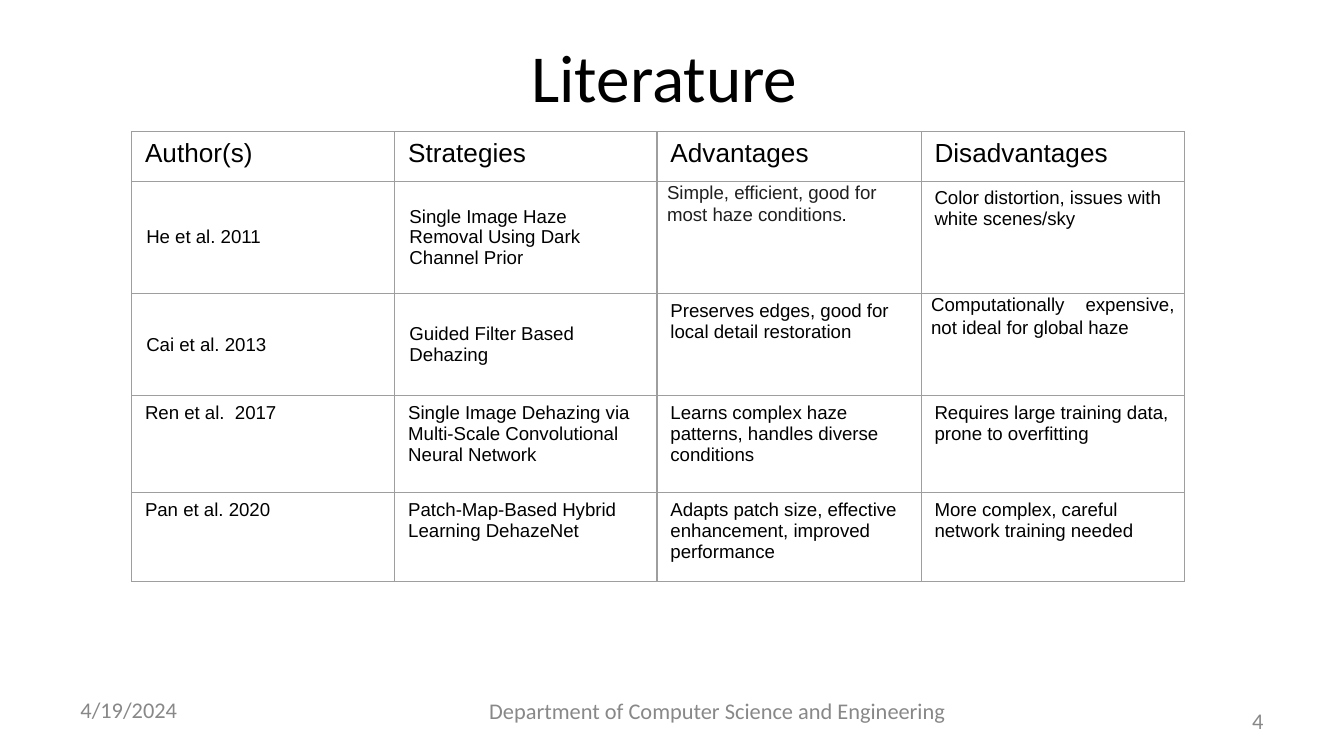
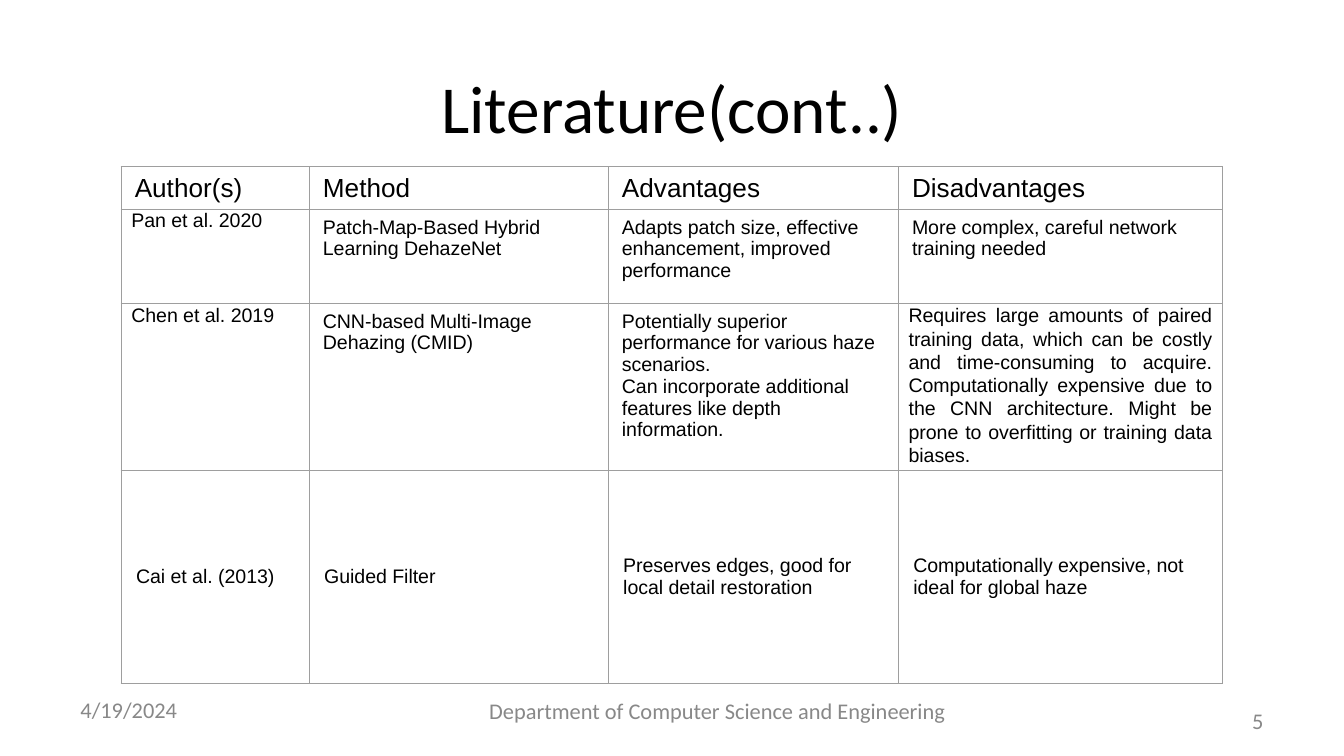
from pptx import Presentation
from pptx.dml.color import RGBColor
from pptx.enum.text import MSO_ANCHOR, MSO_AUTO_SIZE, PP_ALIGN
from pptx.oxml import parse_xml
from pptx.oxml.ns import nsdecls
from pptx.util import Pt

BLACK = RGBColor(0x00, 0x00, 0x00)
DARK = RGBColor(0x1F, 0x1F, 0x1F)
GREY = RGBColor(0x88, 0x88, 0x88)
RULE = RGBColor(0x9E, 0x9E, 0x9E)

# Cell formats: insets and anchor for the cell, spacing for its paragraphs
SIDES = ("margin_left", "margin_top", "margin_right", "margin_bottom")
PLAIN = dict(zip(SIDES, map(Pt, (7.2, 3.6, 7.2, 3.6))))
SNUG = dict(zip(SIDES, map(Pt, (5.4, 0, 5.4, 0))))
MID = dict.fromkeys(SIDES, Pt(7.9)) | {"vertical_anchor": MSO_ANCHOR.MIDDLE}
LOOSE = {"line_spacing": 1.07, "space_after": Pt(8)}
JUST = LOOSE | {"alignment": PP_ALIGN.JUSTIFY}
KINDS = {
    "plain": (PLAIN, {}),
    "mid": (MID, {}),
    "snug": (SNUG, {}),
    "loose": (SNUG, LOOSE),
    "just": (SNUG, JUST),
}

# Footer boxes: left, top, width, alignment
FOOT = {
    "date": (36, 369.4, 168, PP_ALIGN.LEFT),
    "dept": (246.2, 370, 276.5, PP_ALIGN.CENTER),
    "page": (516, 375.1, 168, PP_ALIGN.RIGHT),
}

PAN = [
    "Patch-Map-Based Hybrid Learning DehazeNet",
    "Adapts patch size, effective enhancement, improved performance",
    "More complex, careful network training needed",
]
EDGES = "Preserves edges, good for local detail restoration"
COSTLY = "Computationally expensive, not ideal for global haze"

# A cell is its text, or its text and the name of its format
SLIDES = [
    {
        "title": "Literature ", "top": 15.8, "page": "4", "size": 10,
        "at": (70.5, 70.5),
        "cols": (141, 140.5, 141.5, 141),
        "rows": (26.7, 60.2, 54.7, 52, 47.6),
        "cells": [
            ["Author(s)", "Strategies", "Advantages", "Disadvantages"],
            [("He et al. 2011", "mid"),
             ("Single Image Haze Removal Using Dark Channel Prior", "mid"),
             ("Simple, efficient, good for most haze conditions", "loose"),
             "Color distortion, issues with white scenes/sky"],
            [("Cai et al. 2013", "mid"),
             ("Guided Filter Based Dehazing", "mid"),
             EDGES, (COSTLY, "just")],
            ["Ren et al.  2017",
             "Single Image Dehazing via Multi-Scale Convolutional "
             "Neural Network",
             "Learns complex haze patterns, handles diverse conditions",
             "Requires large training data, prone to overfitting"],
            ["Pan et al. 2020", *PAN],
        ],
    },
    {
        "title": "Literature(cont..)", "top": 32.4, "page": "5", "size": 10.5,
        "at": (65, 89.4),
        "cols": (100.8, 160.2, 155.4, 173.6),
        "rows": (22.6, 50.4, 89.2, 114.4),
        "cells": [
            ["Author(s)", "Method", "Advantages", "Disadvantages"],
            [("Pan et al. 2020", "snug"), *PAN],
            [("Chen et al. 2019", "just"),
             "CNN-based Multi-Image Dehazing (CMID)",
             "Potentially superior performance for various haze scenarios.\n"
             "Can incorporate additional features like depth information.",
             ("Requires large amounts of paired training data, which can be "
              "costly and time-consuming to acquire. Computationally "
              "expensive due to the CNN architecture. Might be prone to "
              "overfitting or training data biases.", "just")],
            [(text, "mid")
             for text in ("Cai et al. (2013)", "Guided Filter", EDGES, COSTLY)],
        ],
    },
]


def style(run, name, size, ink):
    run.font.name, run.font.size = name, Pt(size)
    run.font.color.rgb = ink


def fill_box(shape, text, size, ink, align):
    frame = shape.text_frame
    frame.text = text
    frame.word_wrap = True
    frame.auto_size = MSO_AUTO_SIZE.NONE
    frame.vertical_anchor = MSO_ANCHOR.MIDDLE
    para = frame.paragraphs[0]
    para.alignment = align
    style(para.runs[0], "Calibri", size, ink)


deck = Presentation()
deck.slide_width, deck.slide_height = Pt(720), Pt(405)
grids = []

for page in SLIDES:
    slide = deck.slides.add_slide(deck.slide_layouts[5])

    # Title
    title = slide.shapes.title
    title.left, title.top = Pt(0), Pt(page["top"])
    title.width, title.height = Pt(720), Pt(49.7)
    fill_box(title, page["title"], 36, BLACK, PP_ALIGN.CENTER)

    # Table
    cols, rows = page["cols"], page["rows"]
    left, top = page["at"]
    grid = slide.shapes.add_table(
        len(rows), len(cols), Pt(left), Pt(top),
        Pt(sum(cols)), Pt(sum(rows))).table
    grid.first_row = grid.horz_banding = False
    grids.append(grid)
    for col, width in zip(grid.columns, cols):
        col.width = Pt(width)
    for row, height in zip(grid.rows, rows):
        row.height = Pt(height)

    for r, line in enumerate(page["cells"]):
        for c, item in enumerate(line):
            text, kind = (item, "plain") if isinstance(item, str) else item
            box, flow = KINDS[kind]
            cell = grid.cell(r, c)
            cell.text = text
            cell.fill.background()
            for key, value in box.items():
                setattr(cell, key, value)
            for para in cell.text_frame.paragraphs:
                for key, value in flow.items():
                    setattr(para, key, value)
                style(para.runs[0], "Arial", page["size"] if r else 14, BLACK)

            # Cell borders go ahead of the fill
            props = cell._tc.get_or_add_tcPr()
            for i, side in enumerate("LRTB"):
                props.insert(i, parse_xml(
                    f'<a:ln{side} {nsdecls("a")} w="{Pt(0.75)}"><a:solidFill>'
                    f'<a:srgbClr val="{RULE}"/></a:solidFill></a:ln{side}>'))

    # Footer
    words = {
        "date": "4/19/2024",
        "dept": "Department of Computer Science and Engineering",
        "page": page["page"],
    }
    for key, (left, top, width, align) in FOOT.items():
        note = slide.shapes.add_textbox(
            Pt(left), Pt(top), Pt(width), Pt(21.6))
        fill_box(note, words[key], 12, GREY, align)

# Dark grey phrase with a black full stop
para = grids[0].cell(1, 2).text_frame.paragraphs[0]
para.runs[0].font.color.rgb = DARK
stop = para.add_run()
stop.text = "."
style(stop, "Arial", 10, BLACK)

deck.save("out.pptx")
